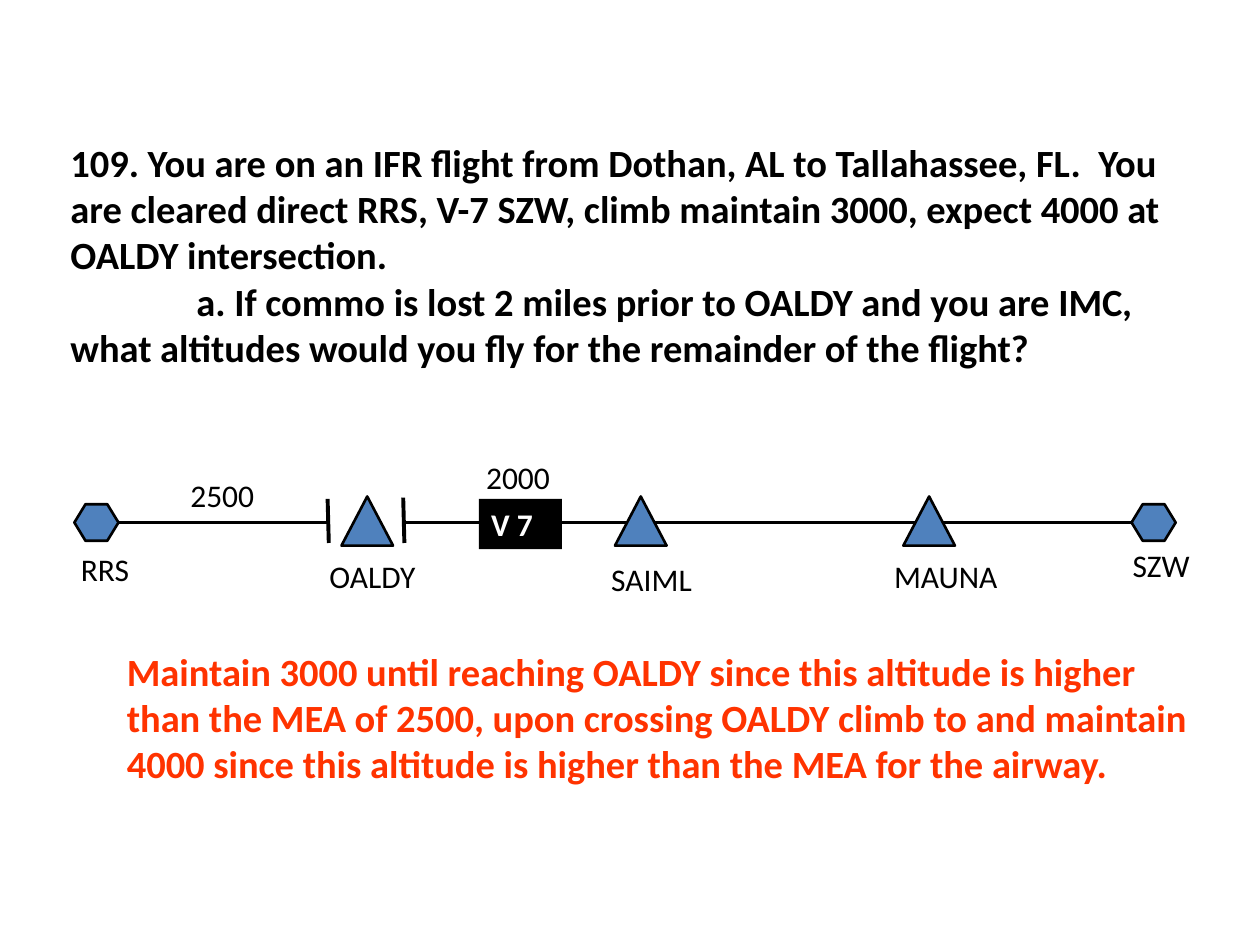
import pptx
import pptx.dml.color
import pptx.enum.shapes
import pptx.enum.text
import pptx.oxml
import pptx.oxml.ns
import pptx.util

Pt = pptx.util.Pt
RGBColor = pptx.dml.color.RGBColor
Shape = pptx.enum.shapes.MSO_SHAPE
Anchor = pptx.enum.text.MSO_ANCHOR
Align = pptx.enum.text.PP_ALIGN

BLACK = RGBColor(0x00, 0x00, 0x00)
WHITE = RGBColor(0xFF, 0xFF, 0xFF)
BLUE = RGBColor(0x4F, 0x81, 0xBD)
ANSWER_RED = RGBColor(0xFF, 0x33, 0x00)


def write_text(paragraph, text, size=18, color=BLACK, bold=False,
               left=0, first_line=0):
    """Fill one paragraph; left and first_line are indents in points."""
    properties = paragraph._p.get_or_add_pPr()
    properties.set("marL", str(Pt(left)))
    properties.set("indent", str(Pt(first_line)))
    paragraph.alignment = Align.LEFT
    run = paragraph.add_run()
    run.text = text
    run.font.name = "Calibri"
    run.font.size = Pt(size)
    run.font.bold = bold
    run.font.color.rgb = color


class RouteSlide:
    airway_y = 298.6
    airway_width = 2.25
    outline_width = 1.5
    label_height = 28.8

    def __init__(self, presentation):
        self.slide = presentation.slides.add_slide(presentation.slide_layouts[6])

    def text_box(self, x, y, width, height, paragraphs, wrap=True, **style):
        """Each paragraph is a (text, first-line indent) pair."""
        frame = self.slide.shapes.add_textbox(
            Pt(x), Pt(y), Pt(width), Pt(height)).text_frame
        frame.word_wrap = wrap
        for index, (text, first_line) in enumerate(paragraphs):
            paragraph = frame.add_paragraph() if index else frame.paragraphs[0]
            write_text(paragraph, text, first_line=first_line, **style)

    def label(self, text, x, y, width):
        self.text_box(x, y, width, self.label_height, [(text, 0)], wrap=False)

    def line(self, x1, y1, x2, y2):
        connector = self.slide.shapes.add_connector(
            pptx.enum.shapes.MSO_CONNECTOR.STRAIGHT, Pt(x1), Pt(y1), Pt(x2), Pt(y2))
        connector.line.color.rgb = BLACK
        connector.line.width = Pt(self.airway_width)
        connector._element.spPr.append(
            pptx.oxml.parse_xml("<a:effectLst %s/>" % pptx.oxml.ns.nsdecls("a")))

    def shape(self, kind, x, y, width, height, fill=BLUE, outlined=True):
        shape = self.slide.shapes.add_shape(kind, Pt(x), Pt(y), Pt(width), Pt(height))
        shape.shadow.inherit = False
        shape.fill.solid()
        shape.fill.fore_color.rgb = fill
        if outlined:
            shape.line.color.rgb = BLACK
            shape.line.width = Pt(self.outline_width)
        else:
            shape.line.fill.background()
        return shape

    def station(self, x):
        width, height = 25.2, 20.9
        hexagon = self.shape(Shape.HEXAGON, x, self.airway_y - height / 2, width, height)
        hexagon.adjustments[0] = 0.304

    def intersection(self, x):
        self.shape(Shape.ISOSCELES_TRIANGLE, x, 283.7, 29.5, 28.1)

    def airway_tag(self, text, x, y, width, height):
        tag = self.shape(Shape.RECTANGLE, x, y, width, height, BLACK, outlined=False)
        tag.text_frame.word_wrap = True
        tag.text_frame.vertical_anchor = Anchor.TOP
        write_text(tag.text_frame.paragraphs[0], text, color=WHITE, bold=True)


def main():
    presentation = pptx.Presentation()
    presentation.slide_width, presentation.slide_height = Pt(720), Pt(540)
    route = RouteSlide(presentation)

    # Question
    route.text_box(33.2, 75.9, 640.8, 139.7, [
        ("109. You are on an IFR flight from Dothan, AL to Tallahassee, FL.  You "
         "are cleared direct RRS, V-7 SZW, climb maintain 3000, expect 4000 at "
         "OALDY intersection.", 0),
        ("a. If commo is lost 2 miles prior to OALDY and you are IMC, what "
         "altitudes would you fly for the remainder of the flight?", 72),
    ], size=22, bold=True)

    # Answer
    route.text_box(38, 366.8, 660.2, 89.3, [
        ("Maintain 3000 until reaching OALDY since this altitude is higher than "
         "the MEA of 2500, upon crossing OALDY climb to and maintain 4000 since "
         "this altitude is higher than the MEA for the airway.", 0),
    ], size=22, bold=True, color=ANSWER_RED, left=27.4)

    # Airway, broken by the altitude change bars around OALDY
    for start, end in [(67, 187.9), (231.1, 660.2)]:
        route.line(start, route.airway_y, end, route.airway_y)
    for bar_x, bar_top in [(187.2, 285.1), (230.4, 284.4)]:
        route.line(bar_x, bar_top, bar_x + 0.7, 310.3)

    # Stations, intersections and airway tag
    for station_x in (42.5, 646.6):
        route.station(station_x)
    for intersection_x in (195.1, 351.4, 516.2):
        route.intersection(intersection_x)
    route.airway_tag("V 7", 273.6, 285.1, 47.5, 28.8)

    # Fix names and minimum altitudes, with room to spare on one line
    for text, x, y, width in [
        ("RRS", 39.1, 310.5, 46),
        ("OALDY", 181.2, 314.6, 68),
        ("SAIML", 342.2, 316.4, 65),
        ("MAUNA", 503.8, 314.6, 78),
        ("SZW", 640.1, 308.2, 51),
        ("2500", 101.7, 268.6, 56),
        ("2000", 270.7, 258, 56),
    ]:
        route.label(text, x, y, width)

    presentation.save("out.pptx")


if __name__ == "__main__":
    main()
